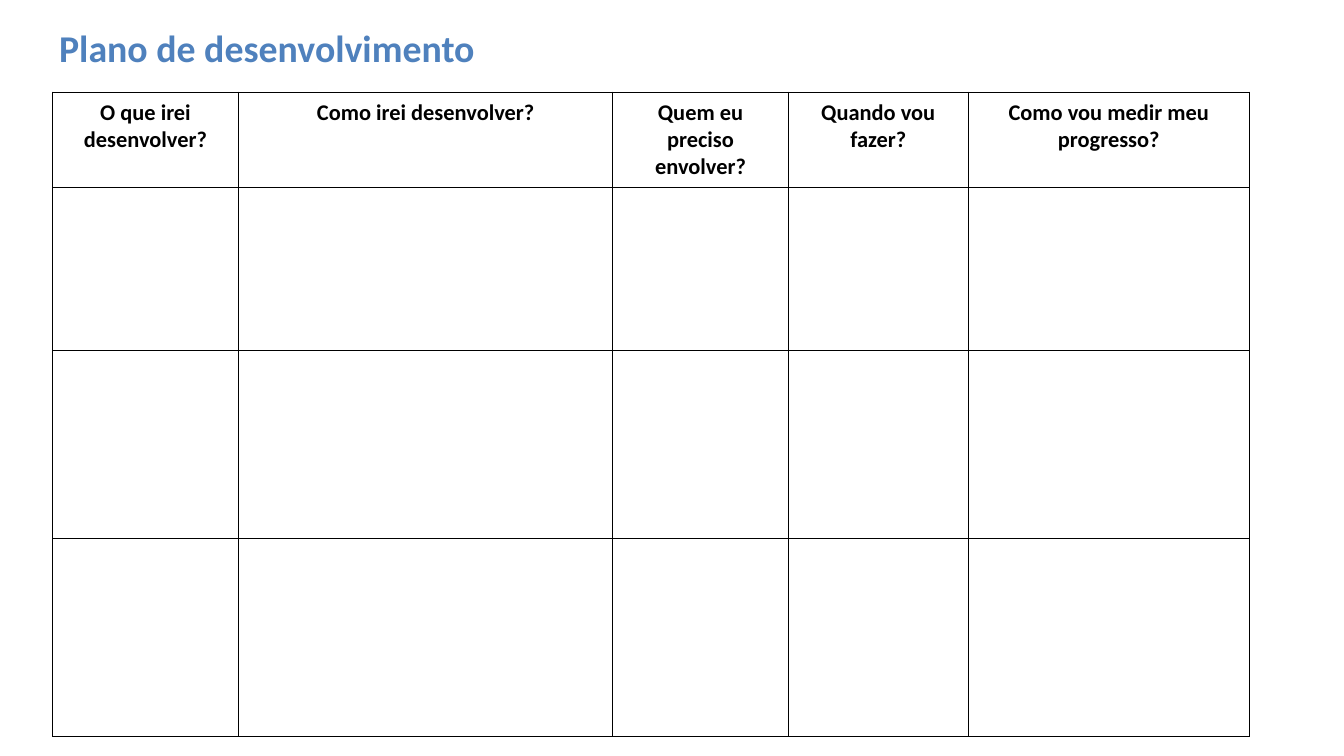
from lxml import etree
from pptx import Presentation
from pptx.dml.color import RGBColor
from pptx.enum.text import MSO_ANCHOR, MSO_AUTO_SIZE, PP_ALIGN
from pptx.oxml.ns import qn
from pptx.util import Inches, Pt

LEFT, CENTER = PP_ALIGN.LEFT, PP_ALIGN.CENTER
MIDDLE, TOP = MSO_ANCHOR.MIDDLE, MSO_ANCHOR.TOP
NO_AUTOFIT = MSO_AUTO_SIZE.NONE
TITLE_ONLY = 5

FONT = "Calibri"
BLUE, BLACK, WHITE = "4F81BD", "000000", "FFFFFF"
MARGIN_LEFT = 0.78
HEADERS = [
    "O que irei desenvolver?",
    "Como irei desenvolver?",
    "Quem eu preciso envolver?",
    "Quando vou fazer?",
    "Como vou medir meu progresso?",
]
COL_WIDTHS = [2.77, 5.57, 2.61, 2.68, 4.18]
ROW_HEIGHTS = [1.35, 2.42, 2.8, 2.95]


def rgb(color):
    return RGBColor.from_string(color)


def set_attrs(obj, values):
    for name, value in values.items():
        setattr(obj, name, value)


def write_text(tf, text, size, color, align):
    p = tf.paragraphs[0]
    p.alignment = align
    r = p.add_run()
    r.text = text
    set_attrs(r.font, {"name": FONT, "size": Pt(size), "bold": True})
    r.font.color.rgb = rgb(color)


def add_title(s, text):
    sp = s.shapes.title
    set_attrs(sp, {"left": Inches(MARGIN_LEFT), "top": Inches(0.35),
                   "width": Inches(13.65), "height": Inches(0.71)})
    set_attrs(sp.text_frame, {"word_wrap": True, "auto_size": NO_AUTOFIT,
                              "vertical_anchor": MIDDLE})
    write_text(sp.text_frame, text, 40.5, BLUE, LEFT)


def set_borders(cell, color, width):
    tcPr = cell._tc.get_or_add_tcPr()
    for i, tag in enumerate(("a:lnL", "a:lnR", "a:lnT", "a:lnB")):
        ln = etree.Element(qn(tag), w=str(Pt(width)))
        fill = etree.SubElement(ln, qn("a:solidFill"))
        etree.SubElement(fill, qn("a:srgbClr"), val=color)
        tcPr.insert(i, ln)


def format_cell(cell):
    set_attrs(cell, {"margin_left": Inches(0.2), "margin_right": Inches(0.2),
                     "margin_top": Inches(0.1), "margin_bottom": Inches(0.1),
                     "vertical_anchor": TOP})
    cell.fill.solid()
    cell.fill.fore_color.rgb = rgb(WHITE)
    set_borders(cell, BLACK, 1)


def add_plan_table(s):
    table = s.shapes.add_table(
        len(ROW_HEIGHTS), len(COL_WIDTHS), Inches(MARGIN_LEFT), Inches(1.37),
        Inches(sum(COL_WIDTHS)), Inches(sum(ROW_HEIGHTS))).table
    table.horz_banding = False
    for col, width in zip(table.columns, COL_WIDTHS):
        col.width = Inches(width)
    for row, height in zip(table.rows, ROW_HEIGHTS):
        row.height = Inches(height)
    for cell in table.iter_cells():
        format_cell(cell)
    for cell, text in zip(table.rows[0].cells, HEADERS):
        write_text(cell.text_frame, text, 24, BLACK, CENTER)


def main():
    prs = Presentation()
    set_attrs(prs, {"slide_width": Inches(20), "slide_height": Inches(11.25)})
    s = prs.slides.add_slide(prs.slide_layouts[TITLE_ONLY])
    add_title(s, "Plano de desenvolvimento")
    add_plan_table(s)
    prs.save("out.pptx")


if __name__ == "__main__":
    main()
